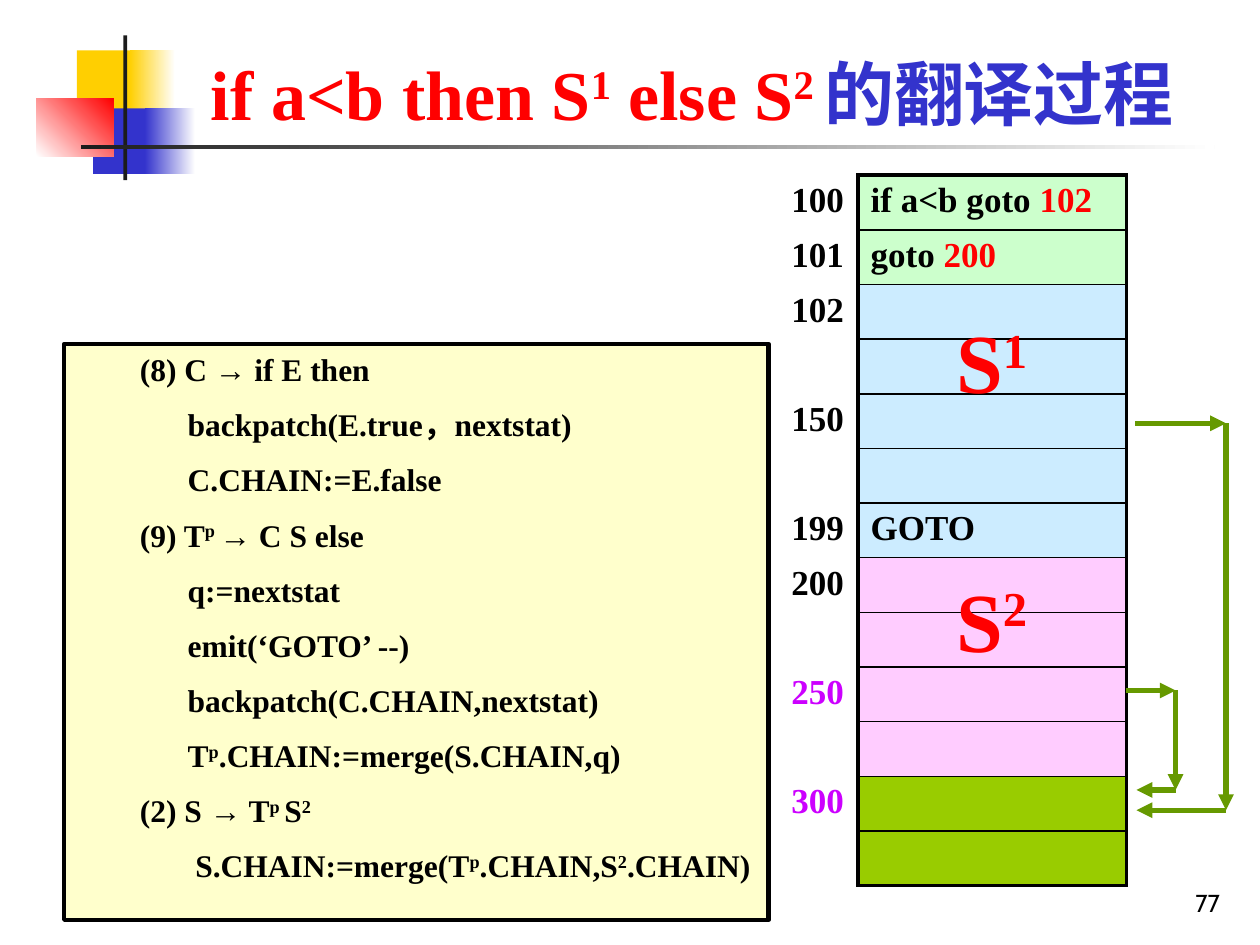
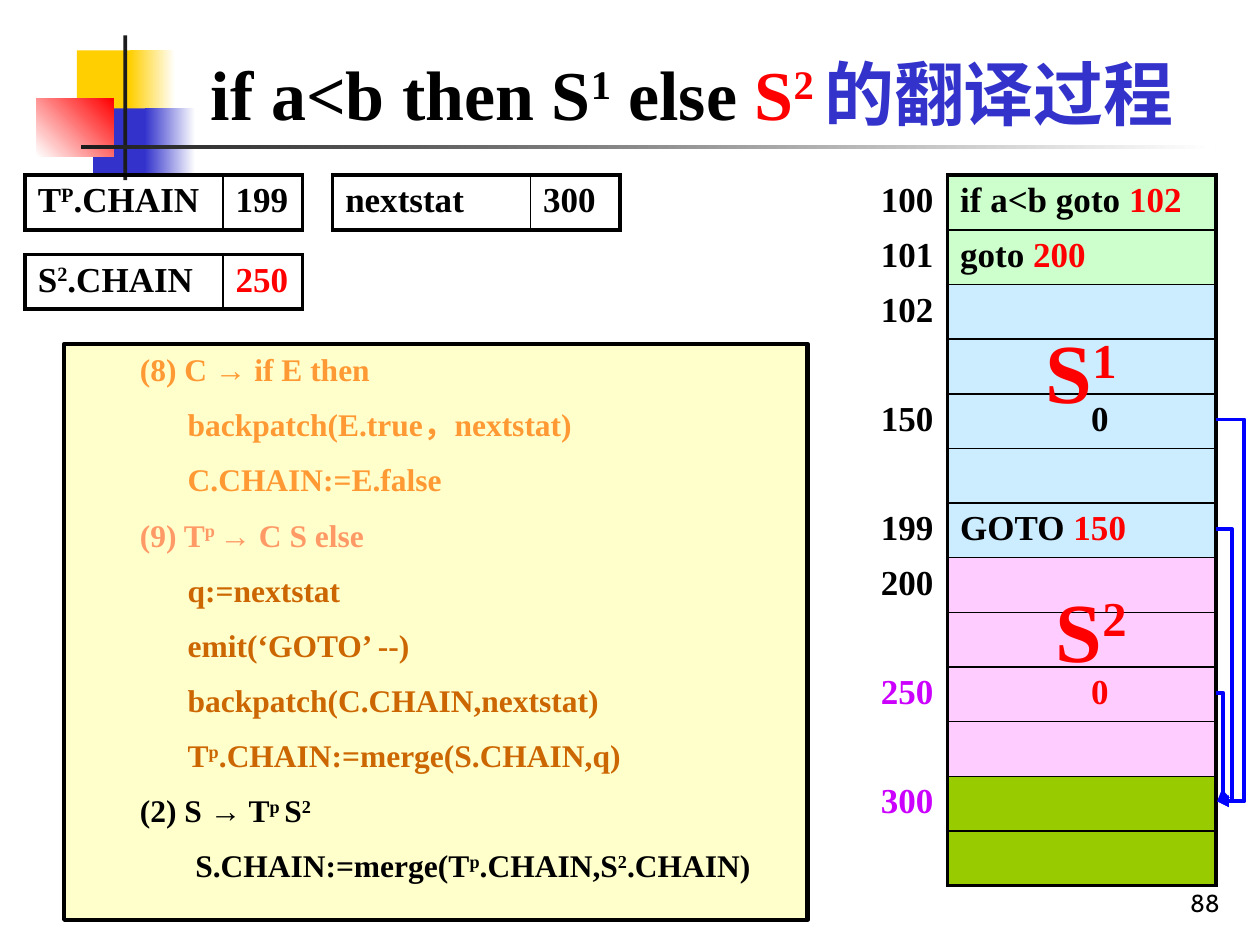
from itertools import pairwise

from lxml.etree import SubElement
from pptx import Presentation
from pptx.dml.color import RGBColor
from pptx.enum.shapes import MSO_CONNECTOR, MSO_SHAPE
from pptx.enum.text import MSO_ANCHOR, MSO_AUTO_SIZE, PP_ALIGN
from pptx.oxml.ns import qn
from pptx.util import Pt

PX = 9144  # 100 px to the inch
SERIF = "Times New Roman"
COLORS = {
    "ink": "000000", "white": "FFFFFF", "red": "FF0000", "blue": "3333CC",
    "gold": "FFCF01", "charcoal": "1C1C1C", "cream": "FFFFCC", "mint": "CCFFCC",
    "sky": "CCECFF", "pink": "FFCCFF", "lime": "99CC00", "violet": "CC00FF",
    "olive": "669900", "link": "0000FF", "orange": "FF9933", "salmon": "FF9966",
    "brown": "CC6600",
}
# left, top, width, height, start colour, end colour, angle
BANDS = [
    (61, 40, 48, 52, "gold", None, 0),
    (103, 40, 36, 52, "gold", "white", 0),
    (74, 86, 46, 52, "blue", None, 0),
    (115, 86, 40, 52, "blue", "white", 0),
    (29, 78, 61, 46, "white", "red", 45),
    (98, 28, 3, 115, "charcoal", None, 0),
    (64, 115, 900, 3, "charcoal", "white", 0),
]
# extra indent, text; ^ opens and closes a superscript
TRANSLATION_RULES = [
    (0, "(8) C → if E then"),
    (38, "backpatch(E.true，nextstat)"),
    (38, "C.CHAIN:=E.false"),
    (0, "(9) T^p ^→ C S else"),
    (38, "q:=nextstat"),
    (38, "emit(‘GOTO’ --)"),
    (38, "backpatch(C.CHAIN,nextstat)"),
    (38, "T^p^.CHAIN:=merge(S.CHAIN,q)"),
    (0, "(2) S → T^p ^S^2^"),
    (44, "S.CHAIN:=merge(T^p^.CHAIN,S^2^.CHAIN)"),
]
# address, fill of the instruction
MEMORY = [
    ("100", "mint"), ("101", "mint"),
    ("102", "sky"), ("", "sky"), ("150", "sky"), ("", "sky"), ("199", "sky"),
    ("200", "pink"), ("", "pink"), ("250", "pink"), ("", "pink"),
    ("300", "lime"), ("", "lime"),
]
CONDITION_CODE = {
    "100": [("if a<b goto ", "ink"), ("102", "red")],
    "101": [("goto ", "ink"), ("200", "red")],
}
LATE_ADDRESSES = ("250", "300")
THIN, THICK = 1, 2.25


def rgb(color):
    return RGBColor.from_string(COLORS[color])


def apply(target, values):
    for name, value in values.items():
        setattr(target, name, value)


class Deck:
    def __init__(self):
        self.presentation = Presentation()
        apply(self.presentation, {"slide_width": 1000 * PX, "slide_height": 750 * PX})
        self.slide = None

    def new_slide(self, title, number):
        self.slide = self.presentation.slides.add_slide(self.presentation.slide_layouts[1])
        for band in BANDS:
            self.band(*band)
        heading = self.slide.shapes.title
        self.place(heading, 122, 36, 855, 76)
        apply(heading.text_frame, {"vertical_anchor": MSO_ANCHOR.BOTTOM,
                                   "auto_size": MSO_AUTO_SIZE.NONE})
        self.add_pieces(heading.text_frame.paragraphs[0], title, 40)
        self.text((770, 683, 208, 50), [(number, "ink")], 14, PP_ALIGN.RIGHT,
                  MSO_ANCHOR.BOTTOM, font="Cabin", bold=False)

    def place(self, shape, left, top, width, height):
        apply(shape, {"left": left * PX, "top": top * PX,
                      "width": width * PX, "height": height * PX})

    def band(self, left, top, width, height, start, end, angle):
        block = self.slide.shapes.add_shape(
            MSO_SHAPE.RECTANGLE, left * PX, top * PX, width * PX, height * PX)
        block.shadow.inherit = False
        block.line.fill.background()
        if end is None:
            self.paint(block, start)
            return
        block.fill.gradient()
        block.fill.gradient_angle = angle
        for stop, color in zip(block.fill.gradient_stops, (start, end)):
            stop.color.rgb = rgb(color)

    def paint(self, target, color):
        target.fill.solid()
        target.fill.fore_color.rgb = rgb(color)

    def add_pieces(self, paragraph, pieces, size, font=SERIF, bold=True):
        """Add (text, colour) pieces; text between ^ marks is superscript."""
        for text, color in pieces:
            for index, part in enumerate(text.split("^")):
                if not part:
                    continue
                run = paragraph.add_run()
                run.text = part
                apply(run.font, {"name": font, "size": Pt(size), "bold": bold})
                run.font.color.rgb = rgb(color)
                if index % 2:
                    run._r.get_or_add_rPr().set("baseline", "30000")

    def indent(self, paragraph, margin, first=0):
        properties = paragraph._p.get_or_add_pPr()
        properties.set("marL", str(margin * PX))
        properties.set("indent", str(first * PX))
        return properties

    def text(self, box, pieces, size, align, anchor=MSO_ANCHOR.TOP, **style):
        left, top, width, height = box
        frame = self.slide.shapes.add_textbox(
            left * PX, top * PX, width * PX, height * PX).text_frame
        apply(frame, {"word_wrap": True, "vertical_anchor": anchor})
        frame.paragraphs[0].alignment = align
        self.add_pieces(frame.paragraphs[0], pieces, size, **style)

    def rules(self, width, colors):
        panel = self.slide.placeholders[1]
        self.place(panel, 51, 273, width, 457)
        self.paint(panel, "cream")
        panel.line.color.rgb = rgb("ink")
        panel.line.width = Pt(2.5)
        frame = panel.text_frame
        frame.auto_size = MSO_AUTO_SIZE.NONE
        for row, ((extra, rule), color) in enumerate(zip(TRANSLATION_RULES, colors)):
            paragraph = frame.add_paragraph() if row else frame.paragraphs[0]
            paragraph.space_before = Pt(9.9 if row else 0)
            SubElement(self.indent(paragraph, 100 + extra, -50), qn("a:buNone"))
            self.add_pieces(paragraph, [(rule, color)], 18)

    def grid(self, left, top, widths, height, rows):
        table = self.slide.shapes.add_table(
            rows, len(widths), left * PX, top * PX, sum(widths) * PX, height * PX).table
        apply(table, {"first_row": False, "horz_banding": False})
        for column, width in zip(table.columns, widths):
            column.width = width * PX
        for row in table.rows:
            row.height = height * PX // rows
        return table

    def cell(self, cell, pieces, borders, fill=None, margin=0):
        """Fill one cell; borders maps a side (L, R, T, B) to points."""
        properties = cell._tc.get_or_add_tcPr()
        for side in "LRTB":
            if side in borders:
                edge = SubElement(properties, qn(f"a:ln{side}"), w=str(int(Pt(borders[side]))))
                SubElement(SubElement(edge, qn("a:solidFill")), qn("a:srgbClr"),
                           val=COLORS["ink"])
        if fill:
            self.paint(cell, fill)
        else:
            cell.fill.background()
        paragraph = cell.text_frame.paragraphs[0]
        self.indent(paragraph, margin)
        self.add_pieces(paragraph, pieces, 20)

    def memory(self, left, code, margins):
        table = self.grid(left, 139, (63, 213), 564, len(MEMORY))
        last = len(MEMORY) - 1
        for row, (address, fill) in enumerate(MEMORY):
            color = "violet" if address in LATE_ADDRESSES else "ink"
            self.cell(table.cell(row, 0), [(address, color)], {"R": THICK}, "white")
            borders = {"L": THICK, "R": THICK, "T": THIN if row else THICK,
                       "B": THIN if row < last else THICK}
            self.cell(table.cell(row, 1), code.get(address, []), borders, fill,
                      margins.get(address, 0))

    def register(self, left, top, value_width, name, value, color="ink"):
        table = self.grid(left, top, (157, value_width), 43, 1)
        edges = {"T": THICK, "B": THICK}
        self.cell(table.cell(0, 0), [(name, "ink")], edges | {"L": THICK, "R": THIN})
        self.cell(table.cell(0, 1), [(value, color)], edges | {"L": THIN, "R": THICK})

    def block_label(self, left, top, label):
        self.text((left, top, 102, 90), [(label, "red")], 48, PP_ALIGN.CENTER)

    def arrow(self, start, end, color, width, kind=MSO_CONNECTOR.STRAIGHT):
        link = self.slide.shapes.add_connector(kind, *(v * PX for v in start + end))
        link.line.color.rgb = rgb(color)
        link.line.width = Pt(width)
        SubElement(link.line._get_or_add_ln(), qn("a:tailEnd"), type="triangle")
        SubElement(link._element.spPr, qn("a:effectLst"))
        return link

    def route(self, *points):
        for start, end in pairwise(points):
            self.arrow(start, end, "olive", 3)

    def chain_link(self, top, reach):
        """Link a jump to address 300, bulging right by reach px."""
        link = self.arrow((965, top), (966, 636), "link", 2.25, MSO_CONNECTOR.ELBOW)
        shape_geometry = link._element.spPr.find(qn("a:prstGeom"))
        guides = shape_geometry.find(qn("a:avLst"))
        if guides is None:
            guides = SubElement(shape_geometry, qn("a:avLst"))
        SubElement(guides, qn("a:gd"), name="adj1", fmla=f"val {reach * 100000}")


def build_jumps(deck):
    deck.new_slide([("if a<b then S^1^ else S^2 ^", "red"), ("的翻译过程", "blue")], "77")
    deck.rules(559, ["ink"] * len(TRANSLATION_RULES))
    deck.memory(618, CONDITION_CODE | {"199": [("GOTO", "ink")]}, {})
    deck.block_label(736, 241, "S^1^")
    deck.block_label(736, 446, "S^2^")
    deck.route((901, 336), (973, 336), (973, 643), (902, 643))
    deck.route((894, 548), (933, 548), (933, 627), (902, 627))


def build_merged_chain(deck):
    deck.new_slide([("if a<b then S^1^ else", "ink"), (" S^2 ^", "red"),
                    ("的翻译过程", "blue")], "88")
    deck.rules(590, ["orange"] * 3 + ["salmon"] + ["brown"] * 4 + ["ink"] * 2)
    chain_code = {
        "150": [("0", "ink")],
        "199": [("GOTO ", "ink"), ("150", "red")],
        "250": [("0", "red")],
    }
    deck.memory(689, CONDITION_CODE | chain_code, {"150": 104, "250": 104})
    deck.register(264, 139, 71, "nextstat", "300")
    deck.register(20, 139, 63, "T^P^.CHAIN", "199")
    deck.register(20, 202, 63, "S^2^.CHAIN", "250", "red")
    deck.block_label(807, 249, "S^1^")
    deck.block_label(815, 454, "S^2^")
    for top, reach in ((420, 13), (333, 23), (550, 6)):
        deck.chain_link(top, reach)


def main():
    deck = Deck()
    build_jumps(deck)
    build_merged_chain(deck)
    deck.presentation.save("out.pptx")


if __name__ == "__main__":
    main()
